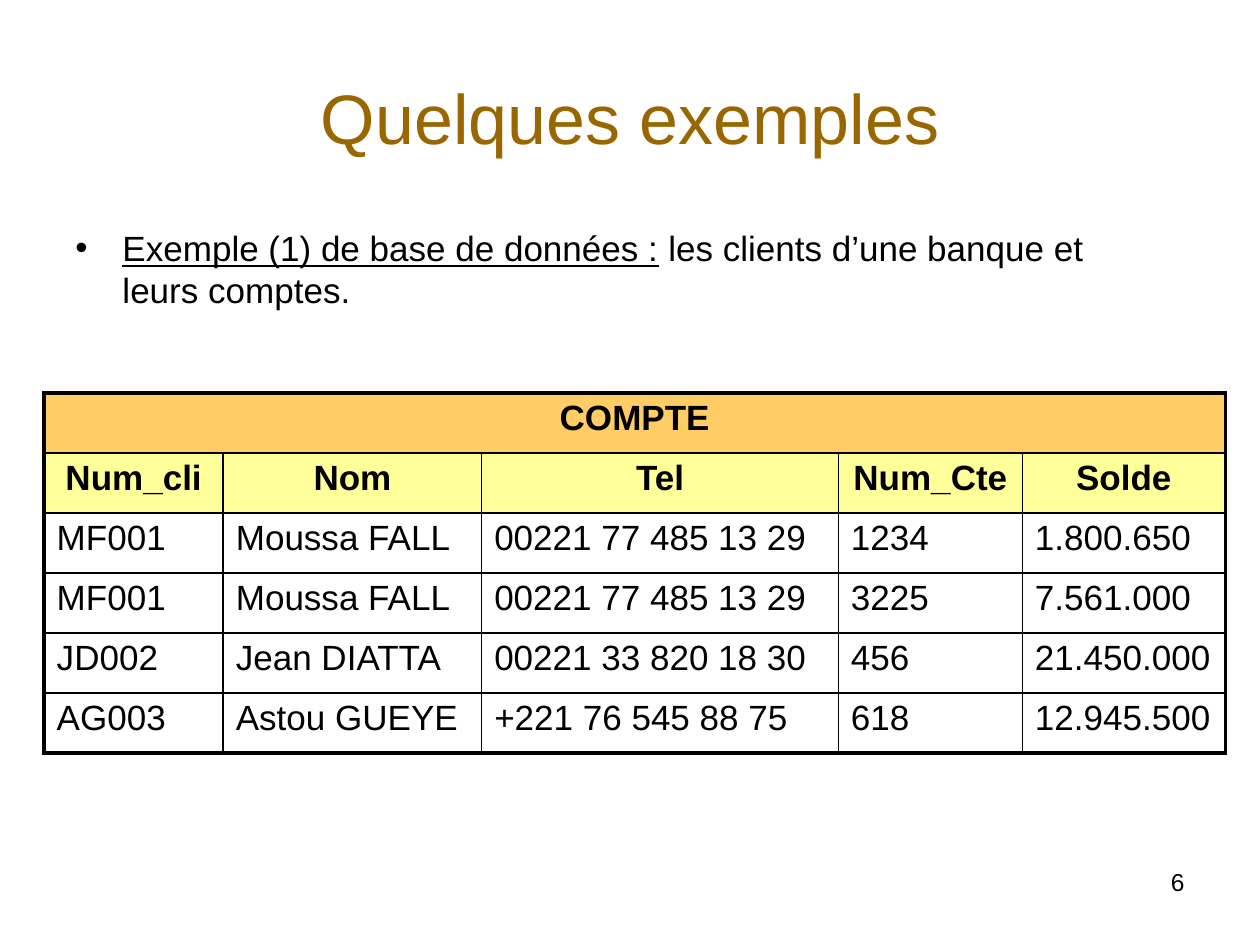
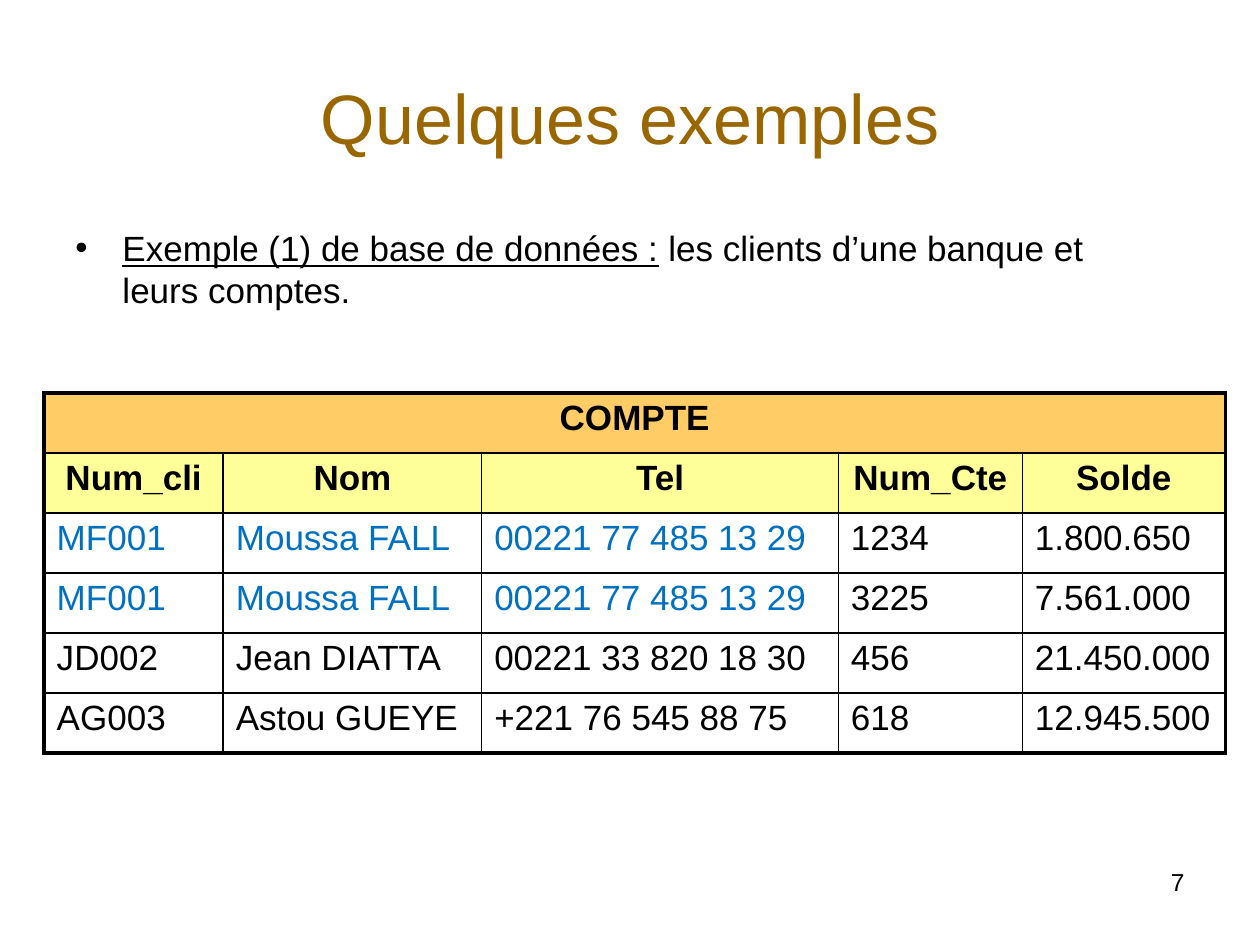
from dataclasses import dataclass

from lxml.etree import SubElement
from pptx import Presentation
from pptx.dml.color import RGBColor
from pptx.enum.text import MSO_ANCHOR, PP_ALIGN
from pptx.oxml.ns import qn
from pptx.util import Cm, Pt

FONT = "Arial"
BLACK, BROWN, BLUE = "000000", "996600", "0070C0"
ORANGE, YELLOW = "FFCC66", "FFFF99"
THIN, THICK = 1, 2.25

COLUMN_WIDTHS = (3.61, 5.21, 7.19, 3.71, 4.09)
ROW_HEIGHT = 1.21
HEADERS = ("Num_cli", "Nom", "Tel", "Num_Cte", "Solde")
ACCOUNTS = (
    ("MF001", "Moussa FALL", "00221 77 485 13 29", "1234", "1.800.650"),
    ("MF001", "Moussa FALL", "00221 77 485 13 29", "3225", "7.561.000"),
    ("JD002", "Jean DIATTA", "00221 33 820 18 30", "456", "21.450.000"),
    ("AG003", "Astou GUEYE", "+221 76 545 88 75", "618", "12.945.500"),
)
CLIENT_COLUMNS = 3


@dataclass(frozen=True)
class Box:
    left: float
    top: float
    width: float
    height: float

    def lengths(self) -> tuple:
        return Cm(self.left), Cm(self.top), Cm(self.width), Cm(self.height)


@dataclass(frozen=True)
class ExampleSlide:
    number: int
    repeated_color: str


TITLE_BOX = Box(1.27, 0.76, 22.86, 3.18)
BODY_BOX = Box(1.27, 4.45, 22.43, 2.49)
NUMBER_BOX = Box(18.21, 17.35, 5.92, 1.32)
TABLE_BOX = Box(0.89, 7.92, sum(COLUMN_WIDTHS), 6 * ROW_HEIGHT)
SLIDES = (ExampleSlide(6, BLACK), ExampleSlide(7, BLUE))


def rgb(color: str) -> RGBColor:
    return RGBColor.from_string(color)


def add_text(p, text: str, *, size: float = 20, color: str = BLACK,
             bold: bool = False, underline: bool = False, align=PP_ALIGN.LEFT) -> None:
    p.alignment = align
    r = p.add_run()
    r.text = text
    r.font.name = FONT
    r.font.size = Pt(size)
    r.font.bold = bold
    r.font.underline = underline
    r.font.color.rgb = rgb(color)


def set_space_before(p, percent: int) -> None:
    spacing = SubElement(p._p.get_or_add_pPr(), qn("a:spcBef"))
    SubElement(spacing, qn("a:spcPct"), val=str(percent * 1000))


def set_bullet(p, indent: float) -> None:
    pPr = p._p.get_or_add_pPr()
    pPr.set("marL", str(Cm(indent)))
    pPr.set("indent", str(-Cm(indent)))
    SubElement(pPr, qn("a:buFont"), typeface=FONT)
    SubElement(pPr, qn("a:buChar"), char="•")


def set_borders(cell, **widths: float) -> None:
    tcPr = cell._tc.get_or_add_tcPr()
    for side, width in widths.items():
        line = SubElement(tcPr, qn(f"a:ln{side}"), w=str(Pt(width)))
        fill = SubElement(line, qn("a:solidFill"))
        SubElement(fill, qn("a:srgbClr"), val=BLACK)


def add_text_box(slide, box: Box):
    tf = slide.shapes.add_textbox(*box.lengths()).text_frame
    tf.word_wrap = True
    return tf.paragraphs[0]


def add_title(slide, text: str) -> None:
    sp = slide.shapes.title
    sp.left, sp.top, sp.width, sp.height = TITLE_BOX.lengths()
    sp.text_frame.vertical_anchor = MSO_ANCHOR.MIDDLE
    add_text(sp.text_frame.paragraphs[0], text, size=40, color=BROWN, align=PP_ALIGN.CENTER)


def add_introduction(slide) -> None:
    p = add_text_box(slide, BODY_BOX)
    set_space_before(p, 20)
    set_bullet(p, 0.95)
    add_text(p, "Exemple (1) de base de données :", underline=True)
    add_text(p, " les clients d’une banque et leurs comptes.")


def fill_cell(cell, text: str, fill: str | None, color: str) -> None:
    if fill:
        cell.fill.solid()
        cell.fill.fore_color.rgb = rgb(fill)
    else:
        cell.fill.background()
    if text:
        p = cell.text_frame.paragraphs[0]
        set_space_before(p, 20)
        add_text(p, text, color=color, bold=bool(fill),
                 align=PP_ALIGN.CENTER if fill else PP_ALIGN.LEFT)


def add_account_table(slide, repeated_color: str) -> None:
    rows = (("COMPTE", "", "", "", ""), HEADERS, *ACCOUNTS)
    fills = (ORANGE, YELLOW) + (None,) * len(ACCOUNTS)
    last_row, last_col = len(rows) - 1, len(HEADERS) - 1
    table = slide.shapes.add_table(len(rows), len(HEADERS), *TABLE_BOX.lengths()).table
    table.horz_banding = False
    for column, width in zip(table.columns, COLUMN_WIDTHS):
        column.width = Cm(width)
    for row in table.rows:
        row.height = Cm(ROW_HEIGHT)
    table.cell(0, 0).merge(table.cell(0, last_col))
    client_ids = [account[0] for account in ACCOUNTS]
    for i, (values, fill) in enumerate(zip(rows, fills)):
        repeated = client_ids.count(values[0]) > 1
        for j, text in enumerate(values):
            cell = table.cell(i, j)
            set_borders(cell,
                        L=THICK if j == 0 else THIN,
                        R=THICK if i == 0 or j == last_col else THIN,
                        T=THICK if i == 0 else THIN,
                        B=THICK if i == last_row else THIN)
            color = repeated_color if repeated and j < CLIENT_COLUMNS else BLACK
            fill_cell(cell, text, fill, color)


def add_example_slide(prs, example: ExampleSlide) -> None:
    slide = prs.slides.add_slide(prs.slide_layouts[5])
    add_title(slide, "Quelques exemples")
    add_introduction(slide)
    add_account_table(slide, example.repeated_color)
    add_text(add_text_box(slide, NUMBER_BOX), str(example.number),
             size=14, align=PP_ALIGN.RIGHT)


def main() -> None:
    prs = Presentation()
    prs.slide_width, prs.slide_height = Cm(25.4), Cm(19.05)
    for example in SLIDES:
        add_example_slide(prs, example)
    prs.save("out.pptx")


if __name__ == "__main__":
    main()
